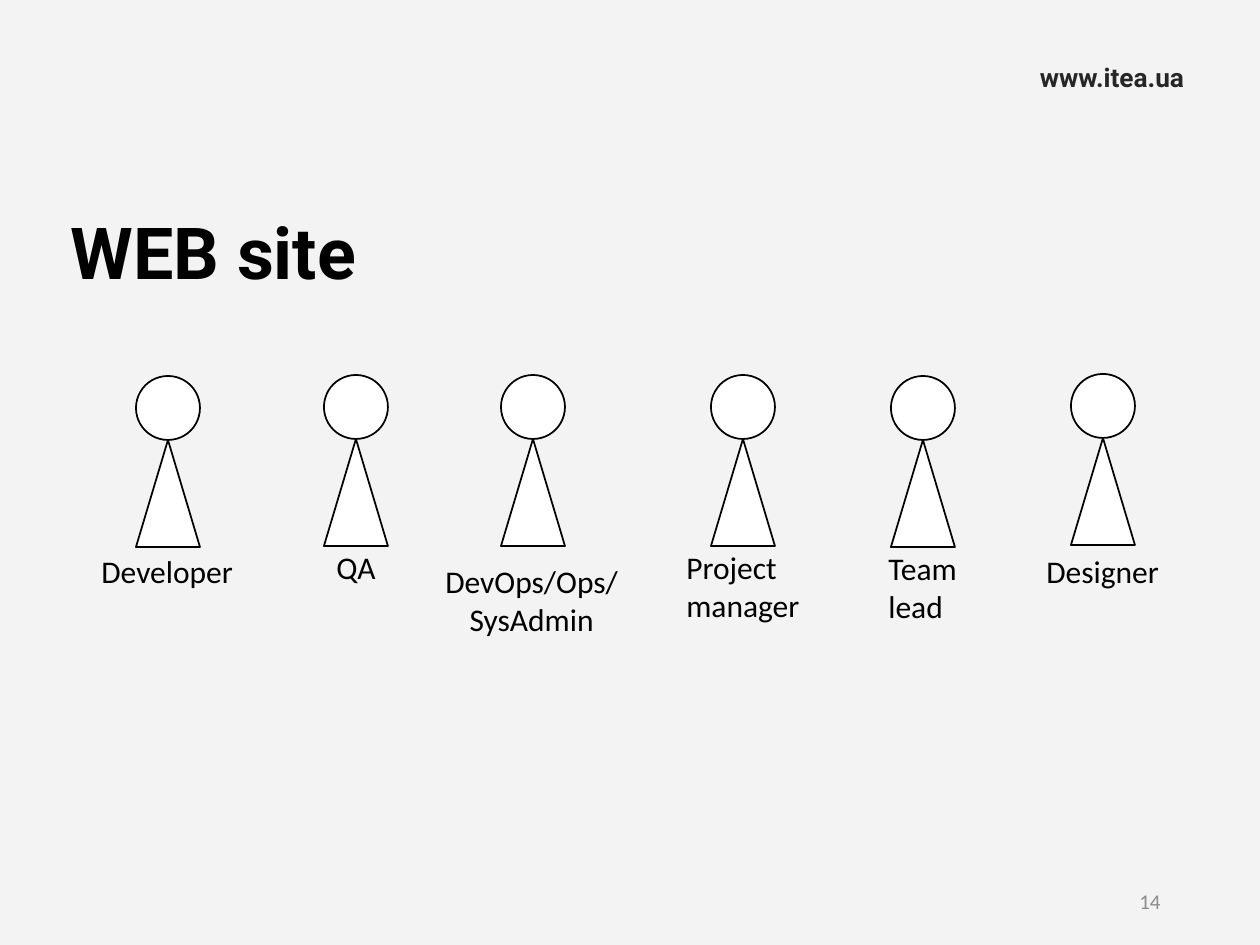
from pptx import Presentation
from pptx import util as u
from pptx.dml.color import RGBColor
from pptx.enum import shapes, text

SCALE = 914400 / 126  # EMU per px


def px(*lengths):
    return [u.Emu(round(length * SCALE)) for length in lengths]


def add_text(parent, box, lines, size, color="000000", font="Calibri", bold=False,
             align=text.PP_ALIGN.LEFT, anchor=text.MSO_ANCHOR.TOP, wrap=True):
    frame = parent.add_textbox(*px(*box)).text_frame
    frame.word_wrap = wrap
    frame.vertical_anchor = anchor
    frame.text = "\n".join(lines)
    for paragraph in frame.paragraphs:
        paragraph.alignment = align
        paragraph.font.name = font
        paragraph.font.size = u.Pt(size)
        paragraph.font.bold = bold
        paragraph.font.color.rgb = RGBColor.from_string(color)
    return frame


presentation = Presentation()
presentation.slide_width, presentation.slide_height = px(1260, 945)
slide = presentation.slides.add_slide(presentation.slide_layouts[6])

# Background panel
panel = slide.shapes.add_shape(shapes.MSO_SHAPE.RECTANGLE, *px(-1, 0, 1261, 946))
panel.shadow.inherit = False
panel.fill.solid()
panel.fill.fore_color.rgb = RGBColor.from_string("F3F3F3")
panel.line.fill.background()

# Title, web address and slide number
middle = text.MSO_ANCHOR.MIDDLE
title = add_text(slide.shapes, (58, 178, 1129, 157), ["WEB site"], 41,
                 font="Roboto", bold=True, anchor=middle)
title.paragraphs[0].line_spacing = 0.9
add_text(slide.shapes, (984, 57, 256, 40), ["www.itea.ua"], 15, "262626", "Roboto",
         True, text.PP_ALIGN.CENTER, middle)
add_text(slide.shapes, (890, 876, 283, 50), ["14"], 12, "8C8C8C",
         align=text.PP_ALIGN.RIGHT, anchor=middle)

# Team: figure left, figure top, label box, label lines
HEAD, BODY = 64, 107
team = [
    (136, 376, (89, 546, 159, 50), ["Developer"]),
    (324, 375, (324, 542, 66, 50), ["QA"]),
    (501, 375, (433, 556, 200, 89), ["DevOps/Ops/", "SysAdmin"]),
    (711, 375, (674, 542, 140, 89), ["Project", "manager"]),
    (891, 376, (876, 543, 95, 89), ["Team", "lead"]),
    (1071, 374, (1034, 546, 140, 50), ["Designer"]),
]
for left, top, label_box, lines in team:
    person = slide.shapes.add_group_shape().shapes
    for kind, part_top, height in (
        (shapes.MSO_SHAPE.ISOSCELES_TRIANGLE, top + HEAD, BODY),
        (shapes.MSO_SHAPE.OVAL, top, HEAD),
    ):
        part = person.add_shape(kind, *px(left, part_top, HEAD, height))
        part.shadow.inherit = False
        part.fill.solid()
        part.fill.fore_color.rgb = RGBColor.from_string("FFFFFF")
        part.line.color.rgb = RGBColor.from_string("000000")
        part.line.width = u.Pt(1)
    label = add_text(person, label_box, lines, 18, wrap=False)
    if "SysAdmin" in lines:
        label.paragraphs[1].alignment = text.PP_ALIGN.CENTER

presentation.save("out.pptx")
